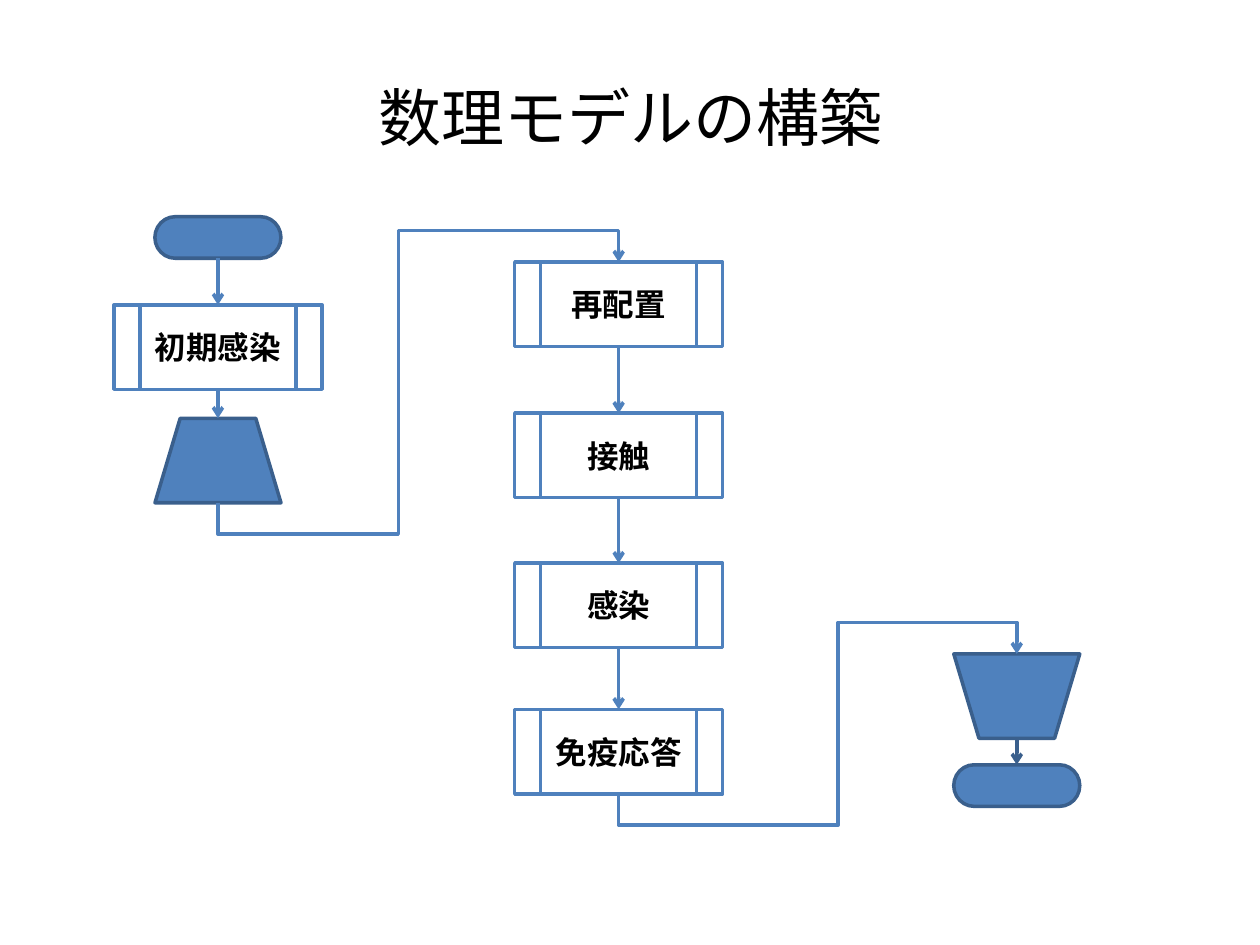
from lxml.etree import SubElement
from pptx import Presentation
from pptx.dml.color import RGBColor
from pptx.enum.shapes import MSO_CONNECTOR, MSO_SHAPE
from pptx.enum.text import MSO_ANCHOR, PP_ALIGN
from pptx.oxml.ns import qn
from pptx.util import Inches, Pt

COLORS = {"blue": "4F81BD", "edge": "3A5F8C", "white": "FFFFFF", "ink": "000000"}
FONT = "Calibri"
TOP, BOTTOM = 0, 2  # connection sites
PROCESS_SIZE = (1.65, 0.67)
END_SIZE = (1, 0.33)
OPERATION_SIZE = (1, 0.67)
STUB = 0.25  # how far a routed arrow leaves its box


def rgb(name):
    return RGBColor.from_string(COLORS[name])


class Flowchart:
    def __init__(self, slide):
        self.slide = slide

    def add_label(self, frame, text, size, bold=False):
        frame.word_wrap = True
        frame.vertical_anchor = MSO_ANCHOR.MIDDLE
        paragraph = frame.paragraphs[0]
        paragraph.alignment = PP_ALIGN.CENTER
        run = paragraph.add_run()
        run.text = text
        run.font.name, run.font.size, run.font.bold = FONT, Pt(size), bold
        run.font.color.rgb = rgb("ink")

    def title(self, text):
        title = self.slide.shapes.title
        title.left, title.top = Inches(0.5), Inches(0.3)
        title.width, title.height = Inches(9), Inches(1.25)
        self.add_label(title.text_frame, text, 36)

    def box(self, kind, center, top, size, fill="blue", line="edge"):
        width, height = size
        box = self.slide.shapes.add_shape(
            kind, Inches(center - width / 2), Inches(top), Inches(width), Inches(height))
        box.shadow.inherit = False
        box.fill.solid()
        box.fill.fore_color.rgb = rgb(fill)
        box.line.color.rgb = rgb(line)
        box.line.width = Pt(2)
        return box

    def process(self, text, center, top):
        box = self.box(MSO_SHAPE.FLOWCHART_PREDEFINED_PROCESS, center, top,
                       PROCESS_SIZE, "white", "blue")
        self.add_label(box.text_frame, text, 18, bold=True)
        return box

    def style_arrow(self, arrow, color):
        arrow.line.color.rgb = rgb(color)
        arrow.line.width = Pt(2)
        properties = arrow._element.spPr.find(qn("a:ln"))
        SubElement(properties, qn("a:tailEnd"), type="arrow")
        SubElement(arrow._element.spPr, qn("a:effectLst"))

    def down_arrow(self, upper, lower, color="blue"):
        center = upper.left + upper.width // 2
        arrow = self.slide.shapes.add_connector(MSO_CONNECTOR.STRAIGHT, 0, 0, 0, 0)
        # A box turned upside down has its bottom site on top
        arrow.begin_connect(upper, TOP if upper.rotation else BOTTOM)
        arrow.end_connect(lower, BOTTOM if lower.rotation else TOP)
        arrow.begin_x = arrow.end_x = center
        arrow.begin_y, arrow.end_y = upper.top + upper.height, lower.top
        self.style_arrow(arrow, color)

    def routed_arrow(self, source, target, channel):
        """Leave downwards, climb at x = channel, and enter from above."""
        x1, y1 = source.left + source.width // 2, source.top + source.height
        x2, y2 = target.left + target.width // 2, target.top
        rise, run = y1 - y2, x2 - x1
        mid_x, mid_y = (x1 + x2) // 2, (y1 + y2) // 2
        # Laid out sideways, then turned a quarter
        arrow = self.slide.shapes.add_connector(
            MSO_CONNECTOR.ELBOW, mid_x + rise // 2, mid_y + run // 2,
            mid_x - rise // 2, mid_y - run // 2)
        arrow._element.spPr.find(qn("a:xfrm")).set("rot", str(90 * 60000))
        geometry = arrow._element.spPr.find(qn("a:prstGeom"))
        geometry.set("prst", "bentConnector5")
        guides = geometry.find(qn("a:avLst"))
        if guides is None:
            guides = SubElement(geometry, qn("a:avLst"))
        stub = Inches(STUB) / rise
        bends = (-stub, (Inches(channel) - x1) / run, 1 + stub)
        for number, bend in enumerate(bends, 1):
            SubElement(guides, qn("a:gd"), name=f"adj{number}",
                       fmla=f"val {round(bend * 100000)}")
        self.style_arrow(arrow, "blue")


presentation = Presentation()
presentation.slide_width, presentation.slide_height = Inches(10), Inches(7.5)
chart = Flowchart(presentation.slides.add_slide(presentation.slide_layouts[5]))
chart.title("数理モデルの構築")

# Column centres
setup_x, cycle_x, finish_x = 1.73, 4.91, 8.07

# Setup: start, initial infection, loop entry
start = chart.box(MSO_SHAPE.FLOWCHART_TERMINATOR, setup_x, 1.72, END_SIZE)
initial_infection = chart.process("初期感染", setup_x, 2.42)
loop_entry = chart.box(MSO_SHAPE.FLOWCHART_MANUAL_OPERATION, setup_x, 3.32, OPERATION_SIZE)
loop_entry.rotation = 180

# Repeated cycle
cycle = [chart.process(text, cycle_x, top) for text, top in
         (("再配置", 2.08), ("接触", 3.28), ("感染", 4.47), ("免疫応答", 5.63))]

# Finish: loop exit and end
loop_exit = chart.box(MSO_SHAPE.FLOWCHART_MANUAL_OPERATION, finish_x, 5.19, OPERATION_SIZE)
end = chart.box(MSO_SHAPE.FLOWCHART_TERMINATOR, finish_x, 6.07, END_SIZE)

# Arrows within columns
for column in ([start, initial_infection, loop_entry], cycle):
    for upper, lower in zip(column, column[1:]):
        chart.down_arrow(upper, lower)
chart.down_arrow(loop_exit, end, "edge")

# Arrows between columns
chart.routed_arrow(loop_entry, cycle[0], 3.16)
chart.routed_arrow(cycle[-1], loop_exit, 6.65)

presentation.save("out.pptx")
